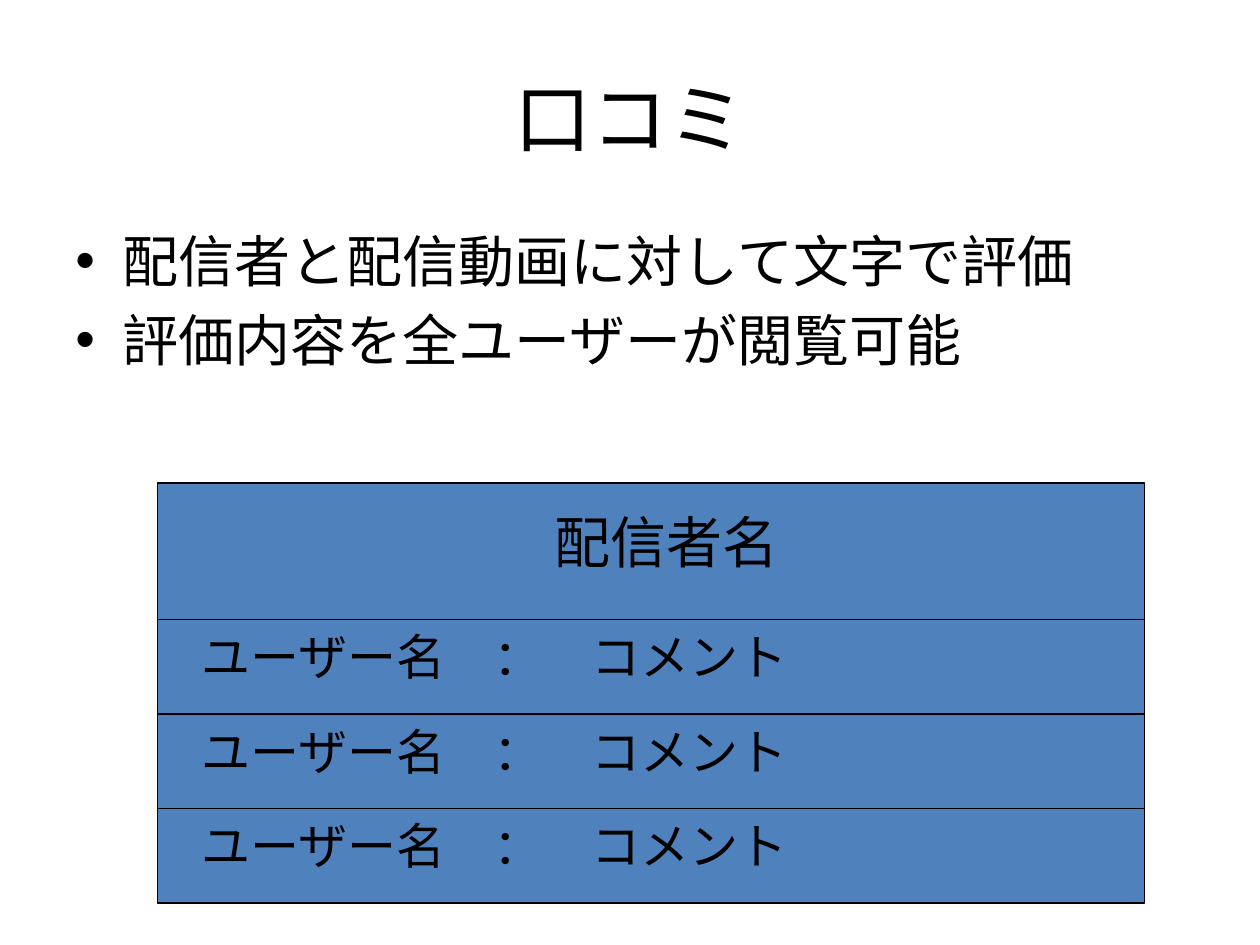
from lxml import etree
from pptx import Presentation
from pptx.dml.color import RGBColor
from pptx.enum.shapes import MSO_CONNECTOR, MSO_SHAPE
from pptx.enum.text import MSO_ANCHOR, PP_ALIGN
from pptx.oxml.ns import qn
from pptx.util import Pt

RECTANGLE = MSO_SHAPE.RECTANGLE
STRAIGHT = MSO_CONNECTOR.STRAIGHT
MIDDLE, TOP = MSO_ANCHOR.MIDDLE, MSO_ANCHOR.TOP
LEFT, CENTER = PP_ALIGN.LEFT, PP_ALIGN.CENTER
BLACK = RGBColor(0x00, 0x00, 0x00)
BLUE = RGBColor(0x4F, 0x81, 0xBD)
FONT = "Calibri"


def write_text(box, lines, size, align=LEFT, anchor=MIDDLE, bullet=None):
    frame = box.text_frame
    frame.word_wrap = True
    frame.vertical_anchor = anchor
    for index, line in enumerate(lines):
        para = frame.add_paragraph() if index else frame.paragraphs[0]
        para.alignment = align
        span = para.add_run()
        span.text = line
        span.font.name = FONT
        span.font.size = Pt(size)
        span.font.color.rgb = BLACK
        if bullet:
            para.space_before = Pt(size * 0.2)
            properties = para._p.get_or_add_pPr()
            properties.set("marL", str(Pt(27)))
            properties.set("indent", str(-Pt(27)))
            etree.SubElement(properties, qn("a:buFont")).set("typeface", "Arial")
            etree.SubElement(properties, qn("a:buChar")).set("char", bullet)


def add_panel(left, top, width, height):
    panel = page.shapes.add_shape(RECTANGLE, Pt(left), Pt(top), Pt(width), Pt(height))
    panel.shadow.inherit = False
    panel.fill.solid()
    panel.fill.fore_color.rgb = BLUE
    panel.line.fill.background()
    return panel


deck = Presentation()
deck.slide_width, deck.slide_height = Pt(720), Pt(540)
page = deck.slides.add_slide(deck.slide_layouts[5])

title = page.shapes.title
title.left, title.top, title.width, title.height = Pt(36), Pt(21.6), Pt(648), Pt(90)
write_text(title, ["口コミ"], 44, align=CENTER)

body = page.shapes.add_textbox(Pt(36), Pt(126), Pt(648), Pt(356.4))
write_text(
    body,
    ["配信者と配信動画に対して文字で評価", "評価内容を全ユーザーが閲覧可能"],
    32,
    anchor=TOP,
    bullet="•",
)

board_left, board_width = 90, 564
board = add_panel(board_left, 276, board_width, 240)
board.line.color.rgb = BLACK
board.line.width = Pt(0.75)

streamer = add_panel(246, 288, 270, 42)
write_text(streamer, ["配信者名"], 32, align=CENTER)

first_row, row_height = 354, 54
for row in range(3):
    top = first_row + row * row_height
    comment = add_panel(108, top, 522, 42)
    write_text(comment, ["ユーザー名\u3000：\u3000コメント".replace("\u3000", "　")], 28)
    divider = page.shapes.add_connector(
        STRAIGHT, Pt(board_left), Pt(top), Pt(board_left + board_width), Pt(top)
    )
    divider.line.color.rgb = BLACK
    divider.line.width = Pt(0.75)
    etree.SubElement(divider._element.spPr, qn("a:effectLst"))

deck.save("out.pptx")
